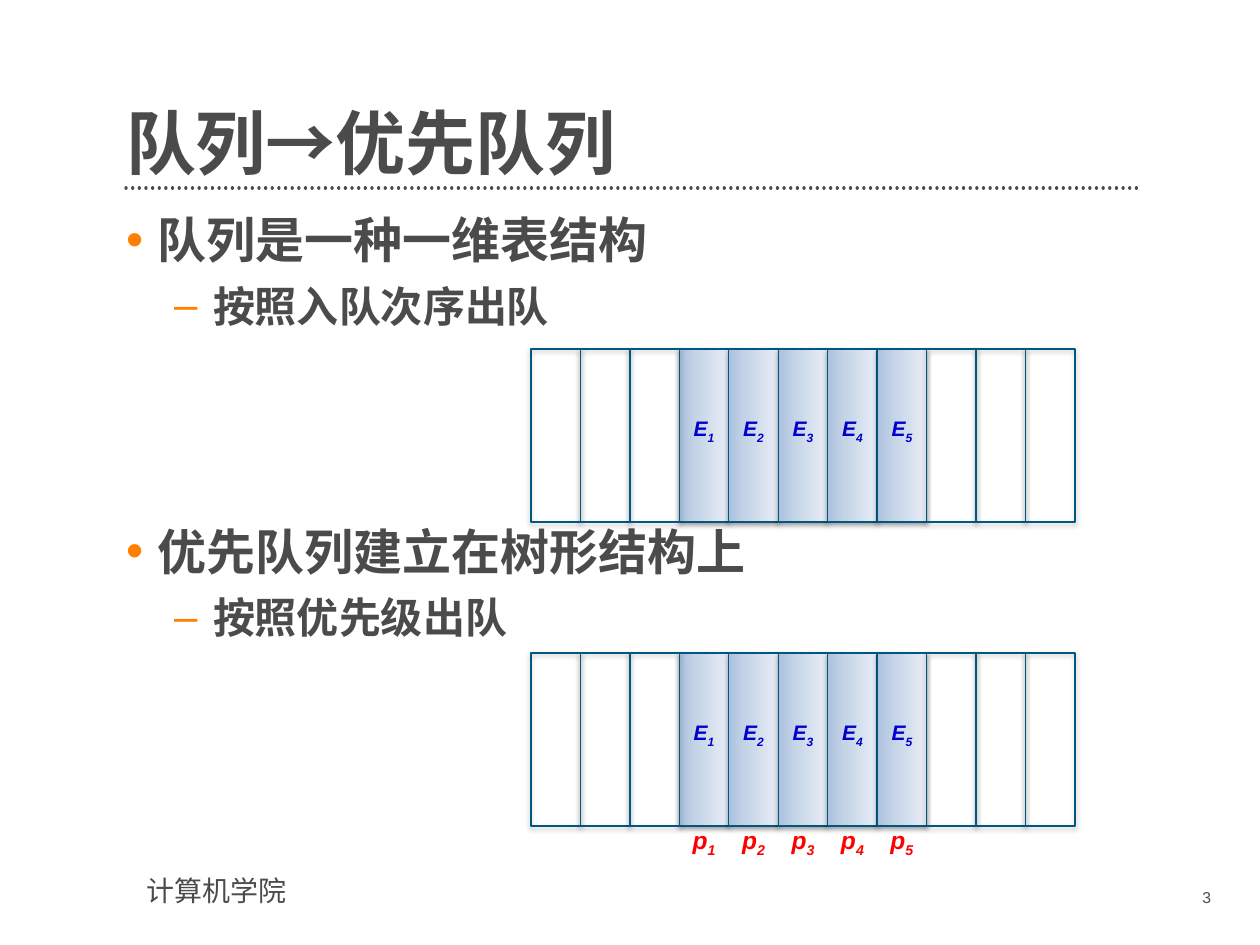
from lxml import etree
from pptx import Presentation
from pptx.dml.color import RGBColor
from pptx.enum.dml import MSO_LINE
from pptx.enum.shapes import MSO_CONNECTOR, MSO_SHAPE
from pptx.enum.text import MSO_ANCHOR, PP_ALIGN
from pptx.oxml import parse_xml
from pptx.oxml.ns import qn
from pptx.util import Pt

TOP, BOTTOM = MSO_ANCHOR.TOP, MSO_ANCHOR.BOTTOM
LEFT, CENTER, RIGHT = PP_ALIGN.LEFT, PP_ALIGN.CENTER, PP_ALIGN.RIGHT
STRAIGHT, RECTANGLE, DOTTED = MSO_CONNECTOR.STRAIGHT, MSO_SHAPE.RECTANGLE, MSO_LINE.ROUND_DOT
SCALE = 914400 / 126
NAMESPACE = 'xmlns:a="http://schemas.openxmlformats.org/drawingml/2006/main"'
GRAY, ORANGE, OUTLINE, BLUE, RED = "4B4B4B", "FF8000", "005881", "0000CC", "FF0000"
LATIN, CHINESE = "Arial", "Noto Sans CJK SC"

TITLE = "队列→优先队列"
FOOTER = "计算机学院"
PAGE_NUMBER = "3"
BODY = [
    ("队列是一种一维表结构", 0, 0),
    ("按照入队次序出队", 1, 6.5),
    ("优先队列建立在树形结构上", 0, 109),
    ("按照优先级出队", 1, 6.5),
]
LEVELS = [
    {"bullet": "•", "size": 28, "margin": 32, "hanging": 32},
    {"bullet": "–", "size": 24, "margin": 87, "hanging": 39},
]
QUEUE_LEFT, QUEUE_WIDTH, QUEUE_HEIGHT = 531, 544, 173
QUEUE_TOPS = [349, 653]
CELL_COUNT = 11
FILLED = range(3, 8)
EMPTY = [cell for cell in range(CELL_COUNT) if cell not in FILLED]
GRADIENT = [(0, "ACC1DF"), (35, "C5D4E7"), (100, "E9EEF7")]


def px(value):
    return round(value * SCALE)


def color(value):
    return RGBColor.from_string(value)


def add_span(para, text, size, ink, font, bold, italic, baseline=0):
    span = para.add_run()
    span.text = text
    span.font.name = font
    span.font.size = Pt(size)
    span.font.bold = bold
    span.font.italic = italic
    span.font.color.rgb = color(ink)
    properties = span.font._element
    etree.SubElement(properties, qn("a:ea")).set("typeface", font)
    if baseline:
        properties.set("baseline", str(baseline * 1000))


def write(para, text, size=12, ink=GRAY, font=LATIN, bold=False, italic=False,
          align=LEFT, subscript=None, spacing=None, before=0):
    para.alignment = align
    para.space_before = Pt(before)
    if spacing:
        para.line_spacing = spacing
    add_span(para, text, size, ink, font, bold, italic)
    if subscript:
        add_span(para, subscript, size, ink, font, bold, italic, -25)


def add_box(page, left, top, width, height, margins=(13, 6, 13, 6), anchor=TOP):
    box = page.shapes.add_textbox(px(left), px(top), px(width), px(height))
    frame = box.text_frame
    frame.word_wrap = True
    frame.vertical_anchor = anchor
    frame.margin_left, frame.margin_top, frame.margin_right, frame.margin_bottom = map(px, margins)
    return frame


def add_bullet(para, bullet, margin, hanging):
    properties = para._p.get_or_add_pPr()
    properties.set("marL", str(px(margin)))
    properties.set("indent", str(-px(hanging)))
    properties.append(parse_xml(
        f'<a:buClr {NAMESPACE}><a:srgbClr val="{ORANGE}"/></a:buClr>'))
    properties.append(parse_xml(f'<a:buFont {NAMESPACE} typeface="{LATIN}"/>'))
    properties.append(parse_xml(f'<a:buChar {NAMESPACE} char="{bullet}"/>'))


def add_body(page):
    frame = add_box(page, 126, 210, 1016, 630, (0, 0, 25, 0))
    for index, (text, level, before) in enumerate(BODY):
        para = frame.add_paragraph() if index else frame.paragraphs[0]
        style = LEVELS[level]
        para.level = level
        write(para, text, size=style["size"], font=CHINESE, bold=True, before=before)
        add_bullet(para, style["bullet"], style["margin"], style["hanging"])


def cell_left(cell):
    return QUEUE_LEFT + cell * QUEUE_WIDTH / CELL_COUNT


def add_cell(page, cell, top):
    shape = page.shapes.add_shape(RECTANGLE, px(cell_left(cell)), px(top),
                                  px(QUEUE_WIDTH / CELL_COUNT), px(QUEUE_HEIGHT))
    shape.fill.background()
    shape.line.color.rgb = color(OUTLINE)
    shape.line.width = Pt(0.75)
    properties = shape._element.spPr
    if cell in FILLED:
        stops = "".join(f'<a:gs pos="{place * 1000}"><a:srgbClr val="{tint}"/></a:gs>'
                        for place, tint in GRADIENT)
        properties.replace(properties.find(qn("a:noFill")), parse_xml(
            f'<a:gradFill {NAMESPACE} rotWithShape="1"><a:gsLst>{stops}</a:gsLst>'
            '<a:lin ang="0" scaled="0"/></a:gradFill>'))
    properties.append(parse_xml(
        f'<a:effectLst {NAMESPACE}><a:outerShdw blurRad="{Pt(3.1)}" dist="{Pt(1.6)}" '
        'dir="5400000" rotWithShape="0"><a:srgbClr val="000000">'
        '<a:alpha val="38000"/></a:srgbClr></a:outerShdw></a:effectLst>'))


def add_labels(page, letter, top, height, size, ink):
    for number, cell in enumerate(FILLED, 1):
        frame = add_box(page, cell_left(cell), top, QUEUE_WIDTH / CELL_COUNT, height,
                        (0, 6, 0, 6))
        write(frame.paragraphs[0], letter, size=size, ink=ink, bold=True, italic=True,
              align=CENTER, subscript=str(number))


def main():
    deck = Presentation()
    deck.slide_width, deck.slide_height = px(1260), px(945)
    page = deck.slides.add_slide(deck.slide_layouts[6])

    rule = page.shapes.add_connector(STRAIGHT, px(126), px(188), px(1142), px(188))
    rule.line.color.rgb = color(GRAY)
    rule.line.width = Pt(1.9)
    rule.line.dash_style = DOTTED
    rule._element.spPr.find(qn("a:ln")).set("cap", "rnd")
    etree.SubElement(rule._element.spPr, qn("a:effectLst"))

    footer = add_box(page, 134, 868, 348, 47)
    write(footer.paragraphs[0], FOOTER, size=16)
    title = add_box(page, 126, 70, 1016, 115, (0, 0, 0, 0), BOTTOM)
    write(title.paragraphs[0], TITLE, size=40, font=CHINESE, bold=True, spacing=0.9)
    add_body(page)
    number = add_box(page, 1100, 882, 124, 37)
    write(number.paragraphs[0], PAGE_NUMBER, size=9, align=RIGHT)

    for top in QUEUE_TOPS:
        for cell in [*FILLED, *EMPTY]:
            add_cell(page, cell, top)
        add_labels(page, "E", top + 61, 38, 12, BLUE)
    add_labels(page, "p", 819, 43, 14, RED)

    deck.save("out.pptx")


if __name__ == "__main__":
    main()
